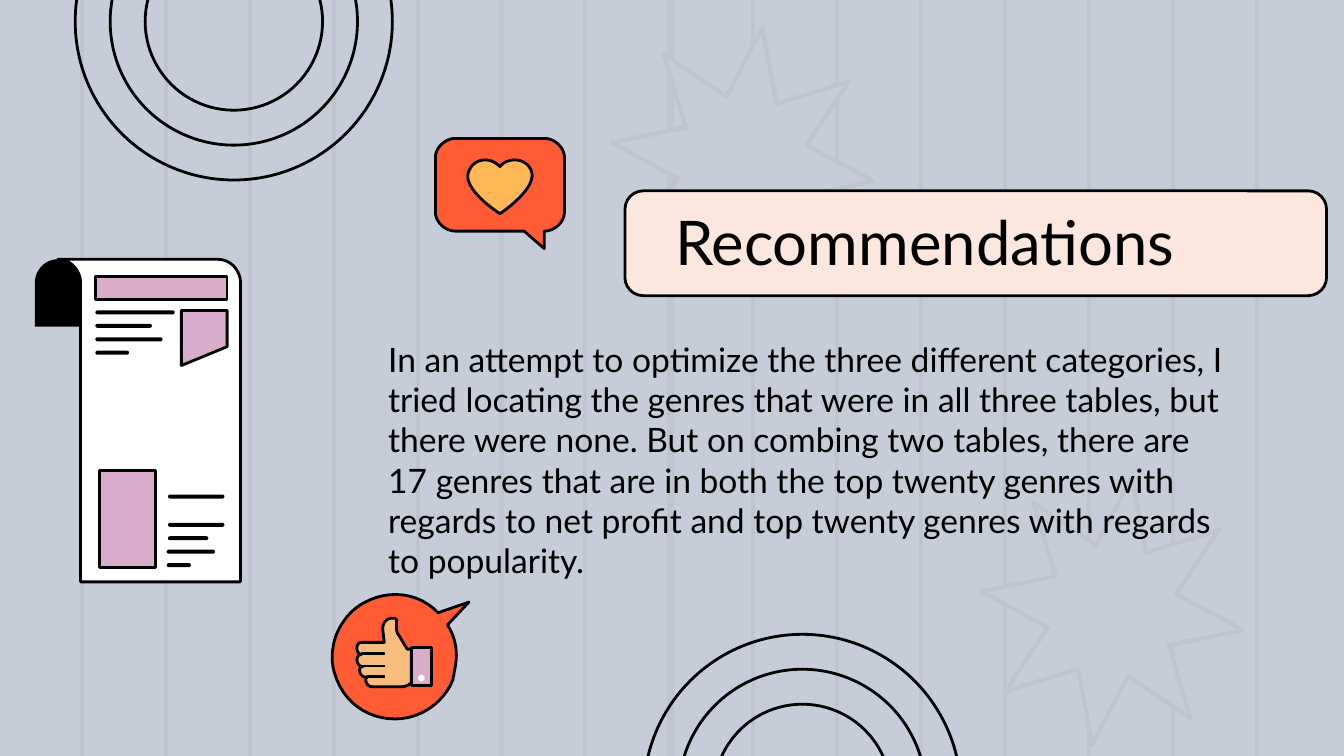
from lxml.etree import SubElement
from pptx import Presentation
from pptx.dml.color import RGBColor
from pptx.enum.shapes import MSO_CONNECTOR, MSO_SHAPE
from pptx.enum.text import MSO_ANCHOR, PP_ALIGN
from pptx.oxml.ns import qn
from pptx.util import Inches, Pt

WIDE = 10
HIGH = WIDE * 9 / 16
BACK = RGBColor(0xC6, 0xCD, 0xD8)
GRID = RGBColor(0xC0, 0xC4, 0xCE)
BLACK = RGBColor(0, 0, 0)
WHITE = RGBColor(0xFF, 0xFF, 0xFF)
PEACH = RGBColor(0xFC, 0xE7, 0xDF)
ORANGE = RGBColor(0xFF, 0x5B, 0x34)
YELLOW = RGBColor(0xFF, 0xB8, 0x55)
SKIN = RGBColor(0xF8, 0xBC, 0x7D)
PINK = RGBColor(0xDA, 0xAC, 0xCB)
PLUM = RGBColor(0x51, 0x29, 0x44)

TITLE = "Recommendations"
BODY = (
    "In an attempt to optimize the three different categories, I tried "
    "locating the genres that were in all three tables, but there were none. "
    "But on combing two tables, there are 17 genres that are in both the top "
    "twenty genres with regards to net profit and top twenty genres with "
    "regards to popularity."
)

STARS = [(7.29, 3.54), (4.54, 0.2)]
RINGS = [(1.74, 0.16), (5.97, 5.9)]  # centres
RADII = [1.18, 0.92, 0.66]

# Outlines: a pair is a corner, six numbers are a Bezier curve.
BUBBLE = [(4.05, 1.03), (4.13, 1.03, 4.2, 1.1, 4.2, 1.17), (4.2, 1.58),
          (4.2, 1.65, 4.13, 1.72, 4.05, 1.72), (4.05, 1.85), (3.9, 1.72),
          (3.39, 1.72), (3.31, 1.72, 3.24, 1.65, 3.24, 1.58), (3.24, 1.17),
          (3.24, 1.1, 3.31, 1.03, 3.39, 1.03)]
HEART = [(3.83, 1.19), (3.9, 1.19, 3.96, 1.24, 3.96, 1.31),
         (3.95, 1.44, 3.72, 1.59, 3.72, 1.59),
         (3.72, 1.59, 3.48, 1.44, 3.48, 1.31),
         (3.49, 1.23, 3.55, 1.19, 3.61, 1.19),
         (3.65, 1.19, 3.69, 1.21, 3.72, 1.24),
         (3.74, 1.21, 3.79, 1.19, 3.83, 1.19)]
BALLOON = [(3.37, 5.06), (3.37, 5.04, 3.38, 5.02, 3.38, 5),
           (3.41, 4.88, 3.4, 4.76, 3.33, 4.65), (3.49, 4.48), (3.26, 4.56),
           (3.12, 4.41, 2.89, 4.38, 2.7, 4.49),
           (2.61, 4.54, 2.54, 4.63, 2.5, 4.73),
           (2.47, 4.82, 2.46, 4.92, 2.49, 5.01),
           (2.55, 5.22, 2.73, 5.35, 2.94, 5.35),
           (3.13, 5.35, 3.3, 5.23, 3.37, 5.06)]
THUMB = [(2.92, 4.6), (2.88, 4.6, 2.84, 4.63, 2.85, 4.7), (2.86, 4.78),
         (2.69, 4.78), (2.64, 4.78, 2.65, 4.87, 2.69, 4.87),
         (2.64, 4.87, 2.65, 4.96, 2.7, 4.96),
         (2.66, 4.96, 2.67, 5.04, 2.73, 5.04),
         (2.71, 5.06, 2.73, 5.11, 2.77, 5.11), (2.98, 5.11),
         (3.02, 5.11, 3.04, 5.1, 3.06, 5.08), (3.06, 4.83), (3.03, 4.83),
         (2.97, 4.73), (2.95, 4.71, 2.95, 4.68, 2.95, 4.66), (2.95, 4.61),
         (2.94, 4.6, 2.93, 4.6, 2.92, 4.6)]
CURL = [(0.43, 1.93), (0.34, 1.93, 0.27, 2, 0.26, 2.09), (0.26, 2.43),
        (0.6, 2.43), (0.6, 2.09), (0.59, 2, 0.52, 1.93, 0.43, 1.93)]
SHEET = [(0.43, 1.93), (0.52, 1.93, 0.59, 2, 0.6, 2.09), (0.6, 4.33),
         (1.79, 4.33), (1.79, 2.09), (1.78, 2, 1.71, 1.93, 1.62, 1.93)]
PHOTO = [(1.35, 2.31), (1.35, 2.72), (1.69, 2.58), (1.69, 2.31)]

FOLDS = [(2.69, 4.86), (2.7, 4.95), (2.73, 5.03)]  # left, top
FOLD_END = 2.86
PANELS = [(0.71, 2.06, 0.98, 0.17), (0.74, 3.5, 0.42, 0.72)]
BARS = [(0.71, 2.31, 0.59), (0.71, 2.41, 0.42), (0.71, 2.51, 0.5),
        (0.71, 2.61, 0.25), (1.25, 3.68, 0.42), (1.25, 3.89, 0.42),
        (1.25, 3.99, 0.3), (1.24, 4.09, 0.36), (1.24, 4.19, 0.18)]

deck = Presentation()
deck.slide_width, deck.slide_height = Inches(WIDE), Inches(HIGH)
slide = deck.slides.add_slide(deck.slide_layouts[6])
slide.background.fill.solid()
slide.background.fill.fore_color.rgb = BACK
shapes = slide.shapes


def paint(shape, fill=None, line=BLACK, width=1.5):
    shape.shadow.inherit = False
    if fill is None:
        shape.fill.background()
    else:
        shape.fill.solid()
        shape.fill.fore_color.rgb = fill
    if line is None:
        shape.line.fill.background()
    else:
        shape.line.color.rgb = line
        shape.line.width = Pt(width)
    return shape


def place(kind, box, **look):
    return paint(shapes.add_shape(kind, *map(Inches, box)), **look)


def trace(path, steps=12, **look):
    """Draw a closed outline, with its curves cut into short lines."""
    dots = []
    for part in path:
        if len(part) == 2:
            dots.append(part)
            continue
        x, y = dots[-1]
        a, b, c, d, e, f = part
        for i in range(1, steps + 1):
            t = i / steps
            u = 1 - t
            mix = (u**3, 3 * u * u * t, 3 * u * t * t, t**3)
            dots.append((sum(m * v for m, v in zip(mix, (x, a, c, e))),
                         sum(m * v for m, v in zip(mix, (y, b, d, f)))))
    dots = [(Inches(x), Inches(y)) for x, y in dots]
    pen = shapes.build_freeform(*dots[0])
    pen.add_line_segments(dots[1:], close=True)
    return paint(pen.convert_to_shape(), **look)


def write(text, box, size=18, align=PP_ALIGN.LEFT, top=0.1):
    frame = shapes.add_textbox(*map(Inches, box)).text_frame
    frame.word_wrap = True
    frame.vertical_anchor = MSO_ANCHOR.TOP
    frame.margin_left = frame.margin_right = frame.margin_bottom = Inches(0.1)
    frame.margin_top = Inches(top)
    para = frame.paragraphs[0]
    para.alignment = align
    run = para.add_run()
    run.text = text
    run.font.name, run.font.size = "Lato", Pt(size)
    run.font.color.rgb = BLACK


# Backdrop
for x in [5] + [0.61 + 8.74 / 14 * i for i in range(15)]:
    rule = shapes.add_connector(MSO_CONNECTOR.STRAIGHT, Inches(x), 0,
                                Inches(x), Inches(HIGH))
    rule.line.color.rgb = GRID
    rule.line.width = Pt(2.25)
    SubElement(rule._element.spPr, qn("a:effectLst"))
for x, y in STARS:
    star = place(MSO_SHAPE.STAR_8_POINT, (x, y, 1.97, 2.01),
                 fill=BACK, line=GRID, width=2.25)
    star.adjustments[0] = 0.25
    star.rotation = 8.4
for x, y in RINGS:
    for r in RADII:
        place(MSO_SHAPE.OVAL, (x - r, y - r, 2 * r, 2 * r))

# Heading and body
banner = place(MSO_SHAPE.ROUNDED_RECTANGLE, (4.65, 1.42, 5.22, 0.78),
               fill=PEACH)
banner.adjustments[0] = 0.175
write(TITLE, (2.41, 1.52, 6.43, 0.64), size=33, align=PP_ALIGN.RIGHT, top=0)
write(BODY, (2.79, 2.42, 6.43, 1.91))

# Heart bubble
trace(BUBBLE, fill=ORANGE)
trace(HEART, fill=YELLOW)

# Thumb balloon
trace(BALLOON, fill=ORANGE)
trace(THUMB, fill=SKIN)
place(MSO_SHAPE.RECTANGLE, (3.06, 4.82, 0.15, 0.28), fill=PINK)
for x, y in FOLDS:
    place(MSO_SHAPE.RECTANGLE, (x, y, FOLD_END - x, 0.01),
          fill=PLUM, width=0.75)
place(MSO_SHAPE.OVAL, (3.11, 5.02, 0.05, 0.05), fill=WHITE, line=None)

# Newspaper
trace(CURL, fill=BLACK, line=None)
trace(SHEET, fill=WHITE)
trace(PHOTO, fill=PINK)
for box in PANELS:
    place(MSO_SHAPE.RECTANGLE, box, fill=PINK)
for x, y, w in BARS:
    bar = place(MSO_SHAPE.ROUNDED_RECTANGLE, (x, y, w, 0.03),
                fill=BLACK, line=None)
    bar.adjustments[0] = 0.5

deck.save("out.pptx")
